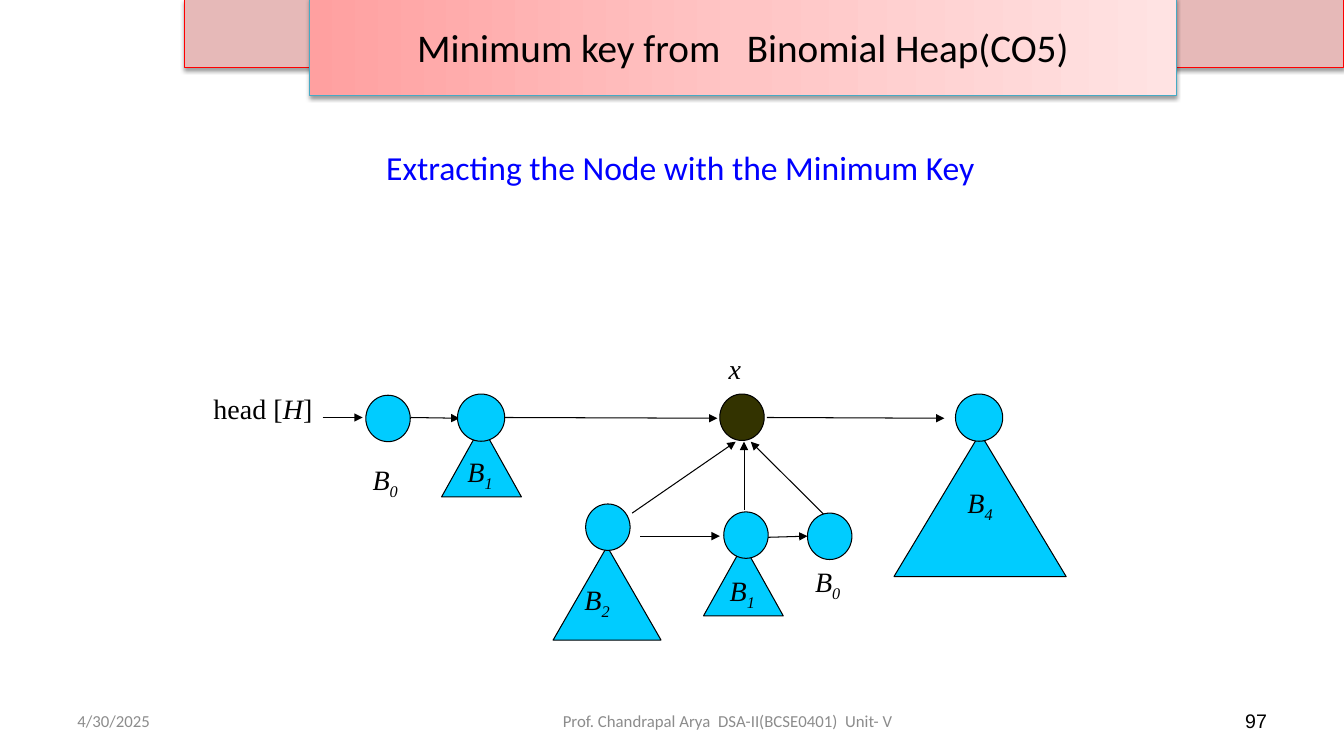
import pptx
import pptx.dml.color
import pptx.enum.dml
import pptx.enum.shapes
import pptx.enum.text
import pptx.oxml
import pptx.oxml.ns
import pptx.util
from copy import deepcopy
from lxml import etree

Cm = pptx.util.Cm
Pt = pptx.util.Pt
SHAPE = pptx.enum.shapes.MSO_SHAPE
ALIGN = pptx.enum.text.PP_ALIGN
ANCHOR = pptx.enum.text.MSO_ANCHOR
qn = pptx.oxml.ns.qn

COLORS = {
    "black": "000000", "node": "00CCFF", "minimum": "333300",
    "heading": "0000FF", "footer": "8C8C8C", "band": "E6B9B8",
    "band_line": "FF0000", "banner_line": "46AAC5",
}
BANNER_STOPS = [(0, "FFA0A0"), (0.5, "FFC5C5"), (1, "FFE3E3")]
SMALL = (1.12, 1.17)
ROUND = (1.19, 1.19)


def rgb(name):
    return pptx.dml.color.RGBColor.from_string(COLORS[name])


def write(sp, runs, size=20, font="Times New Roman", color="black",
          align=ALIGN.LEFT, anchor=ANCHOR.TOP, wrap=True):
    """Runs are plain strings or (text, options) with italic, sub or gap."""
    tf = sp.text_frame
    tf.word_wrap = wrap
    tf.vertical_anchor = anchor
    p = tf.paragraphs[0]
    p.alignment = align
    for run in runs:
        text, options = (run, {}) if isinstance(run, str) else run
        r = p.add_run()
        r.text = text
        r.font.name = font
        r.font.size = Pt(size)
        r.font.color.rgb = rgb(color)
        r.font.italic = options.get("italic", False)
        if options.get("sub"):
            r.font._element.set("baseline", "-25000")
        if "gap" in options:
            r.font._element.set("spc", str(int(options["gap"] * 100)))


def add_text(s, box, runs, **fmt):
    sp = s.shapes.add_textbox(*map(Cm, box))
    write(sp, runs, **fmt)
    return sp


def add_solid(s, kind, box, fill="node", line="black"):
    sp = s.shapes.add_shape(kind, *map(Cm, box))
    sp.shadow.inherit = False
    sp.fill.solid()
    sp.fill.fore_color.rgb = rgb(fill)
    sp.line.color.rgb = rgb(line)
    sp.line.width = Pt(0.75)
    return sp


def add_shadow(sp):
    effects = sp._element.spPr.find(qn("a:effectLst"))
    shadow = etree.SubElement(effects, qn("a:outerShdw"), dist=str(Pt(1.6)),
                              blurRad=str(Pt(3.1)), dir="5400000", rotWithShape="0")
    color = etree.SubElement(shadow, qn("a:srgbClr"), val=COLORS["black"])
    etree.SubElement(color, qn("a:alpha"), val="38000")


def add_gradient(sp, stops):
    sp.fill.gradient()
    sp.fill.gradient_angle = 0
    gs_list = sp._element.spPr.find(qn("a:gradFill")).find(qn("a:gsLst"))
    gs_list.append(deepcopy(gs_list[-1]))
    for stop, (position, color) in zip(sp.fill.gradient_stops, stops):
        stop.position = position
        stop.color.rgb = pptx.dml.color.RGBColor.from_string(color)


def add_arrow(s, x1, y1, x2, y2):
    c = s.shapes.add_connector(pptx.enum.shapes.MSO_CONNECTOR.STRAIGHT,
                               Cm(x1), Cm(y1), Cm(x2), Cm(y2))
    c.line.color.rgb = rgb("black")
    c.line.width = Pt(0.75)
    etree.SubElement(c.line._get_or_add_ln(), qn("a:tailEnd"), type="triangle")
    etree.SubElement(c._element.spPr, qn("a:effectLst"))


def add_tree(s, order, root, size, label, triangle=None):
    """A binomial tree: root circle, optional subtree triangle and its name."""
    if triangle:
        add_solid(s, SHAPE.ISOSCELES_TRIANGLE, triangle)
    add_solid(s, SHAPE.OVAL, root + size)
    add_text(s, label + (1.19 if order == 0 else 2, 1.1),
             [("B", {"italic": True}), (str(order), {"italic": True, "sub": True})],
             wrap=order > 0)


def main():
    prs = pptx.Presentation()
    prs.slide_width, prs.slide_height = Cm(33.87), Cm(19.05)
    s = prs.slides.add_slide(prs.slide_layouts[6])

    # Header band
    band = add_solid(s, SHAPE.RECTANGLE, (4.65, 0, 29.21, 1.7), "band", "band_line")
    add_shadow(band)

    # Arrows along the root list
    add_arrow(s, 8.13, 10.52, 9.14, 10.52)
    add_arrow(s, 10.34, 10.52, 11.58, 10.54)
    add_arrow(s, 12.73, 10.52, 18.08, 10.54)
    add_arrow(s, 19.33, 10.52, 23.8, 10.54)

    # Arrows between the children of x, and up to x
    add_arrow(s, 16.13, 13.51, 18.14, 13.51)
    add_arrow(s, 19.33, 13.54, 20.35, 13.51)
    add_arrow(s, 15.93, 12.93, 18.54, 11.13)
    add_arrow(s, 18.75, 12.85, 18.75, 11.13)
    add_arrow(s, 20.88, 13.08, 18.92, 11.13)

    # Root list
    add_text(s, (5.13, 9.73, 3, 1.1), ["head [", ("H", {"italic": True}), "]"], wrap=False)
    add_tree(s, 0, (9.22, 9.96), SMALL, (9.14, 11.53))
    add_tree(s, 1, (11.53, 9.93), ROUND, (11.53, 11.33), (11.13, 10.72, 2.01, 1.8))
    add_solid(s, SHAPE.OVAL, (18.14, 9.93) + SMALL, "minimum")
    add_text(s, (18.11, 8.74, 0.82, 1.1), [("x", {"italic": True})], wrap=False)
    add_tree(s, 4, (24.08, 9.93), ROUND, (24.13, 12.12), (22.53, 10.92, 4.34, 3.61))

    # Children of x
    add_tree(s, 2, (14.76, 12.7), SMALL, (14.48, 14.55), (13.94, 13.77, 2.72, 2.36))
    add_tree(s, 1, (18.24, 12.9), SMALL, (18.14, 14.33), (17.73, 13.72, 2.01, 1.8))
    add_tree(s, 0, (20.35, 12.93), SMALL, (20.29, 14.1))

    # Heading and banner
    add_text(s, (4.45, 3.58, 25.4, 3.18), ["Extracting the Node with the Minimum Key"],
             size=24, font="Calibri", color="heading", align=ALIGN.CENTER)
    banner = add_solid(s, SHAPE.RECTANGLE, (7.8, -0.05, 21.84, 2.46), line="banner_line")
    add_gradient(banner, BANNER_STOPS)
    add_shadow(banner)
    write(banner, ["Minimum key from", (" ", {"gap": 12.6}), "Binomial Heap(CO5)"],
          size=28, font="Calibri", align=ALIGN.CENTER, anchor=ANCHOR.MIDDLE)

    # Footer
    footer = dict(size=12, font="Calibri", color="footer", anchor=ANCHOR.MIDDLE)
    wide_space = (" ", {"gap": 2.7})
    add_text(s, (1.7, 17.65, 7.9, 1.02), ["4/30/2025"], **footer)
    add_text(s, (12.9, 17.65, 10.87, 1.02),
             ["Prof. Chandrapal Arya", wide_space, "DSA-II(BCSE0401)", wide_space, "Unit- V"],
             align=ALIGN.CENTER, **footer)
    add_text(s, (24.28, 17.65, 7.9, 1.02), ["97"], size=14, font="Arial",
             align=ALIGN.RIGHT, anchor=ANCHOR.MIDDLE)

    prs.save("out.pptx")


if __name__ == "__main__":
    main()
